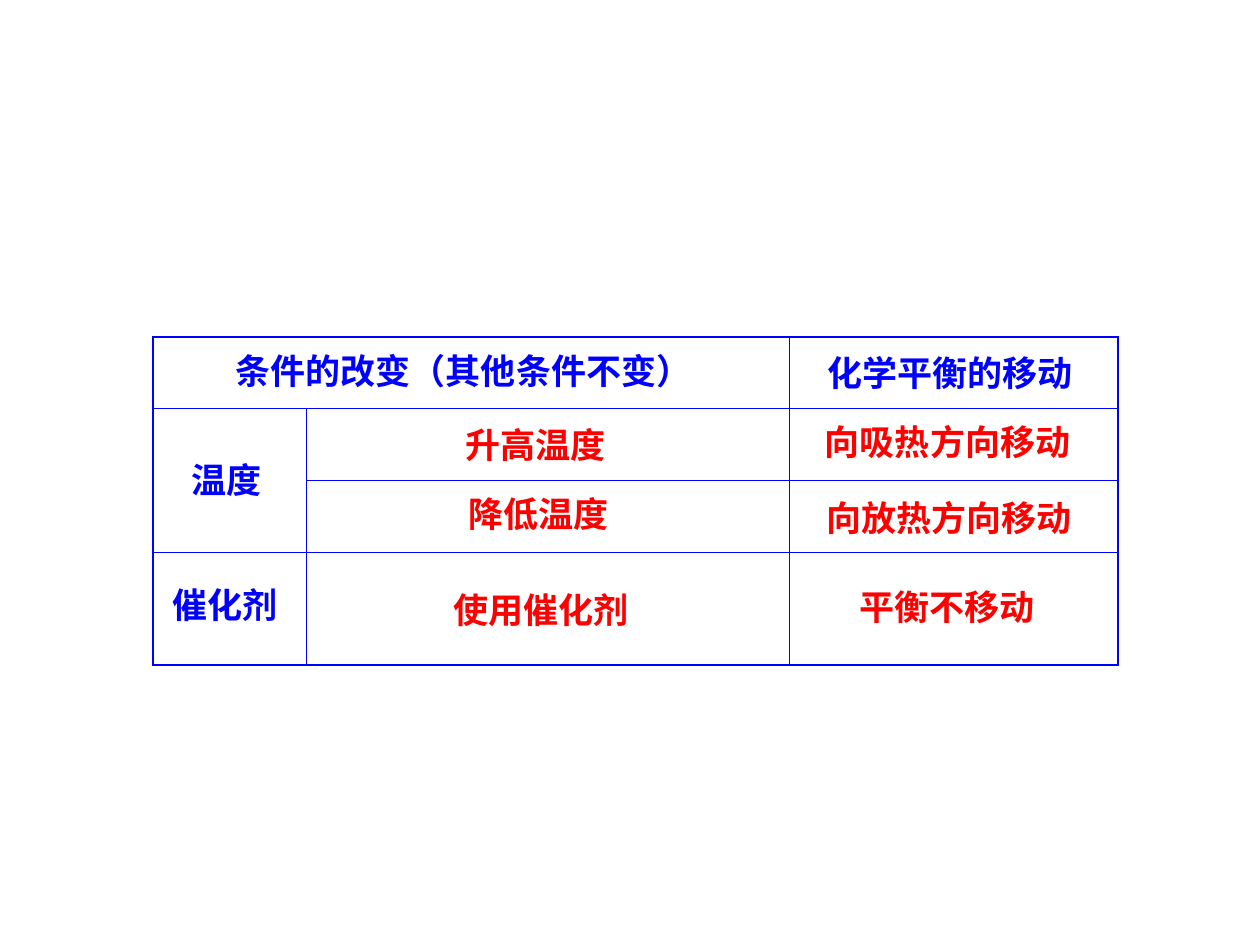
from lxml import etree
from pptx import Presentation
from pptx.dml.color import RGBColor
from pptx.enum.text import MSO_AUTO_SIZE
from pptx.oxml.ns import qn
from pptx.util import Cm, Pt

FIT_SHAPE = MSO_AUTO_SIZE.SHAPE_TO_FIT_TEXT
BLANK_LAYOUT = 6
COLORS = {"blue": "0000FF", "red": "FF0000"}
FONT = "Noto Sans CJK SC"
LABEL_FORMAT = {"name": FONT, "size": Pt(20), "bold": True}
OUTER_LINE = Pt(1.08)
INNER_LINE = Pt(0.45)
LABEL_HEIGHT = 1.12

COLUMN_WIDTHS = [3.1, 9.73, 6.63]
ROW_HEIGHTS = [1.45, 1.45, 1.45, 2.26]
MERGES = [((0, 0), (0, 1)), ((1, 0), (2, 0))]
LABELS = [
    ("条件的改变（其他条件不变）", 4.5, 6.93, 11.35, "blue"),
    ("化学平衡的移动", 16.43, 6.96, 6.45, "blue"),
    ("向吸热方向移动", 16.38, 8.36, 6.76, "red"),
    ("温度", 3.61, 9.12, 2.72, "blue"),
    ("向放热方向移动", 16.41, 9.88, 6.76, "red"),
    ("升高温度", 9.14, 8.41, 6.02, "red"),
    ("催化剂", 3.23, 11.63, 3.43, "blue"),
    ("降低温度", 9.19, 9.8, 6.02, "red"),
    ("使用催化剂", 8.89, 11.73, 6.02, "red"),
    ("平衡不移动", 17.07, 11.68, 6.76, "red"),
]


class SlideBuilder:
    def __init__(self, slide):
        self.slide = slide

    def label(self, text, left, top, width, color):
        shape = self.slide.shapes.add_textbox(
            Cm(left), Cm(top), Cm(width), Cm(LABEL_HEIGHT))
        frame = shape.text_frame
        frame.word_wrap = True
        frame.auto_size = FIT_SHAPE
        run = frame.paragraphs[0].add_run()
        run.text = text
        for name, value in LABEL_FORMAT.items():
            setattr(run.font, name, value)
        run.font.color.rgb = RGBColor.from_string(COLORS[color])
        properties = run._r.get_or_add_rPr()
        etree.SubElement(properties, qn("a:ea"), typeface=FONT)

    def table(self, left, top, column_widths, row_heights, merges):
        row_count, column_count = len(row_heights), len(column_widths)
        table = self.slide.shapes.add_table(
            row_count, column_count, Cm(left), Cm(top),
            Cm(sum(column_widths)), Cm(sum(row_heights))).table
        table.first_row = False
        table.horz_banding = False
        for column, width in zip(table.columns, column_widths):
            column.width = Cm(width)
        for row, height in zip(table.rows, row_heights):
            row.height = Cm(height)
        for first, last in merges:
            table.cell(*first).merge(table.cell(*last))
        for row in range(row_count):
            for column in range(column_count):
                cell = table.cell(row, column)
                cell.fill.background()
                if cell.is_spanned:
                    continue
                outer_sides = {
                    "L": column == 0,
                    "R": column + cell.span_width == column_count,
                    "T": row == 0,
                    "B": row + cell.span_height == row_count,
                }
                self.borders(cell, outer_sides)

    def borders(self, cell, outer_sides):
        properties = cell._tc.get_or_add_tcPr()
        for position, (side, is_outer) in enumerate(outer_sides.items()):
            width = OUTER_LINE if is_outer else INNER_LINE
            line = etree.Element(qn(f"a:ln{side}"), w=str(int(width)))
            fill = etree.SubElement(line, qn("a:solidFill"))
            etree.SubElement(fill, qn("a:srgbClr"), val=COLORS["blue"])
            properties.insert(position, line)


def main():
    presentation = Presentation()
    presentation.slide_width = Cm(25.4)
    presentation.slide_height = Cm(19.05)
    slide = presentation.slides.add_slide(
        presentation.slide_layouts[BLANK_LAYOUT])
    builder = SlideBuilder(slide)
    builder.table(3.08, 6.79, COLUMN_WIDTHS, ROW_HEIGHTS, MERGES)
    for label in LABELS:
        builder.label(*label)
    presentation.save("out.pptx")


if __name__ == "__main__":
    main()
